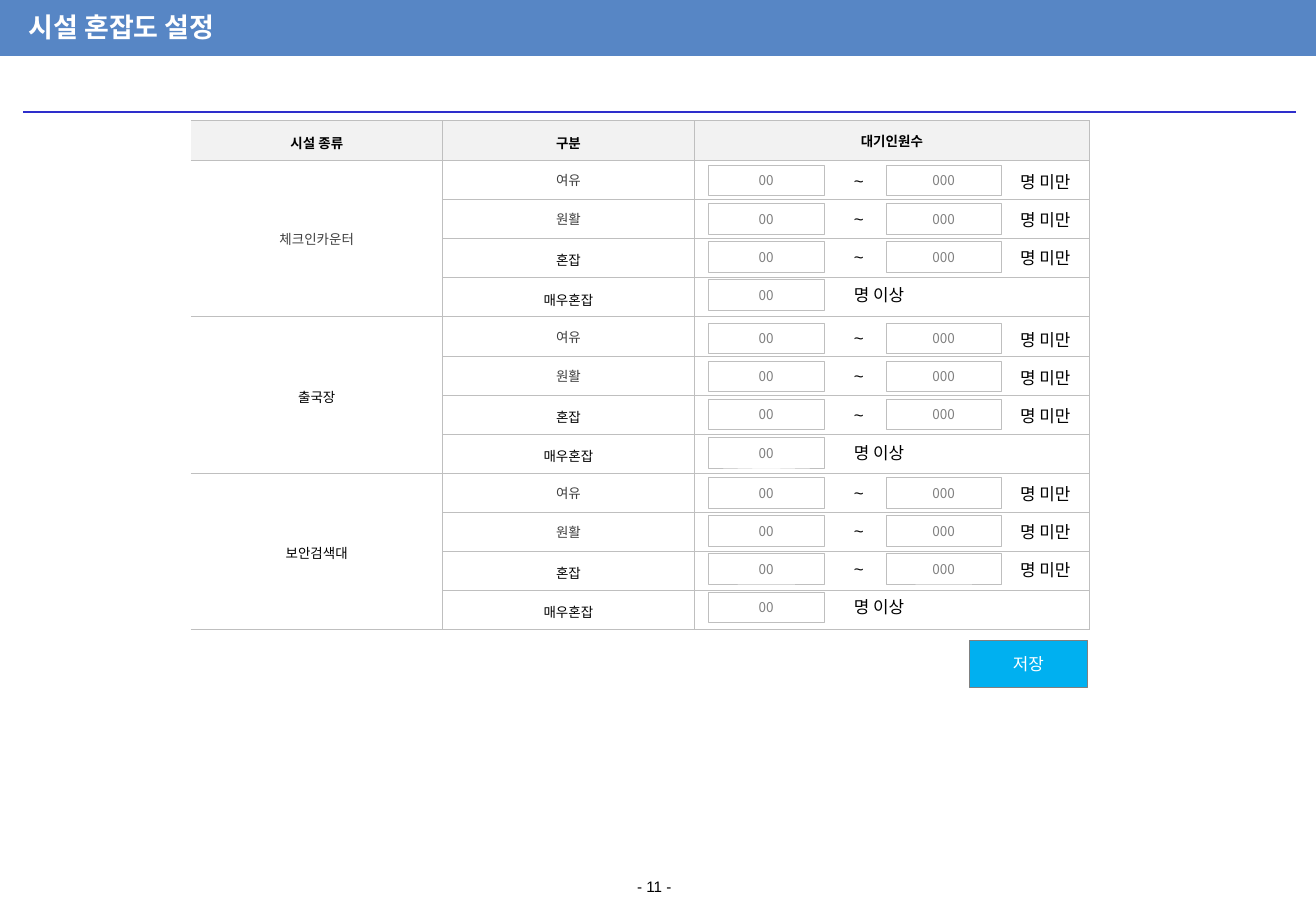
from lxml.etree import SubElement
from pptx import Presentation
from pptx.dml.color import RGBColor
from pptx.enum.shapes import MSO_CONNECTOR, MSO_SHAPE
from pptx.enum.text import MSO_ANCHOR, PP_ALIGN
from pptx.oxml.ns import qn
from pptx.util import Pt

RECTANGLE = MSO_SHAPE.RECTANGLE
STRAIGHT = MSO_CONNECTOR.STRAIGHT
TOP, MIDDLE = MSO_ANCHOR.TOP, MSO_ANCHOR.MIDDLE
LEFT, CENTER = PP_ALIGN.LEFT, PP_ALIGN.CENTER
KOREAN_FONT = "Noto Sans CJK KR"
COLORS = {
    "banner": "5786C5", "rule": "2E2ECB", "border": "BFBFBF", "header": "F2F2F2",
    "white": "FFFFFF", "black": "000000", "dark": "404040", "gray": "808080",
    "save": "00B0F0",
}


def write_text(frame, text, size, color, align=LEFT, anchor=MIDDLE, bold=False, name=KOREAN_FONT):
    frame.vertical_anchor = anchor
    paragraph = frame.paragraphs[0]
    paragraph.alignment = align
    run = paragraph.add_run()
    run.text = text
    formats = {"size": Pt(size), "bold": bold, "name": name}
    for key, value in formats.items():
        setattr(run.font, key, value)
    run.font.color.rgb = RGBColor.from_string(COLORS[color])
    SubElement(run.font._element, qn("a:ea"), typeface=KOREAN_FONT)
    return paragraph


def add_box(left, top, width, height, fill=None, line=None):
    if fill is None:
        shape = slide.shapes.add_textbox(Pt(left), Pt(top), Pt(width), Pt(height))
        shape.text_frame.word_wrap = False
        return shape
    shape = slide.shapes.add_shape(RECTANGLE, Pt(left), Pt(top), Pt(width), Pt(height))
    shape.shadow.inherit = False
    shape.fill.solid()
    shape.fill.fore_color.rgb = RGBColor.from_string(COLORS[fill])
    if line:
        shape.line.color.rgb = RGBColor.from_string(COLORS[line])
        shape.line.width = Pt(0.25)
    else:
        shape.line.fill.background()
    return shape


presentation = Presentation()
presentation.slide_width = Pt(780)
presentation.slide_height = Pt(540)
slide = presentation.slides.add_slide(presentation.slide_layouts[6])

page_number = add_box(296.8, 511, 182, 29)
write_text(page_number.text_frame, "- 11 -", 9, "black", CENTER, name="Arial")
add_box(0, 0, 780, 33.2, "banner")
title = add_box(10, 2.9, 465, 26.7)
title.text_frame.word_wrap = True
write_text(title.text_frame, "시설 혼잡도 설정", 16, "white", anchor=TOP, bold=True)

HEADERS = ["시설 종류", "구분", "대기인원수"]
FACILITIES = ["체크인카운터", "출국장", "보안검색대"]
LEVELS = ["여유", "원활", "혼잡", "매우혼잡"]
ROW_COUNT = 1 + len(FACILITIES) * len(LEVELS)
table = slide.shapes.add_table(
    ROW_COUNT, 3, Pt(113.2), Pt(71.3), Pt(532.6), Pt(301.7)).table
table.first_row = False
table.horz_banding = False
for column, width in zip(table.columns, [149.2, 149.2, 234.2]):
    column.width = Pt(width)
for index, row in enumerate(table.rows):
    row.height = Pt(23.76 if index == 0 else 23.16)

for row in range(ROW_COUNT):
    facility, level = divmod(row - 1, len(LEVELS))
    for column in range(3):
        cell = table.cell(row, column)
        properties = cell._tc.get_or_add_tcPr()
        for side in ["lnL", "lnR", "lnT", "lnB"]:
            border = SubElement(properties, qn(f"a:{side}"), w="3175")
            if side == "lnL" and column == 0:
                SubElement(border, qn("a:noFill"))
            else:
                line_fill = SubElement(border, qn("a:solidFill"))
                SubElement(line_fill, qn("a:srgbClr"), val=COLORS["border"])
        cell.fill.solid()
        cell.fill.fore_color.rgb = RGBColor.from_string(COLORS["white" if row else "header"])
        cell.vertical_anchor = MIDDLE
        if row == 0:
            text = HEADERS[column]
        elif column == 0 and level == 0:
            text = FACILITIES[facility]
        else:
            text = LEVELS[level] if column == 1 else ""
        is_dark = text in LEVELS[:2] + FACILITIES[:1]
        for side in ["left", "right", "top", "bottom"]:
            setattr(cell, f"margin_{side}", Pt(5.6 if is_dark else 2.9))
        if text:
            paragraph = write_text(cell.text_frame, text, 8, "dark" if is_dark else "black",
                                   CENTER, bold=row == 0)
            if not is_dark and column < 2:
                paragraph.line_spacing = 1.2
        else:
            SubElement(cell.text_frame.paragraphs[0]._p, qn("a:endParaRPr"), sz="800")
        cell.vertical_anchor = MIDDLE
for first_row in range(1, ROW_COUNT, len(LEVELS)):
    table.cell(first_row, 0).merge(table.cell(first_row + len(LEVELS) - 1, 0))

save_button = add_box(574.5, 379.4, 70, 28.2, "save", "gray")
write_text(save_button.text_frame, "저장", 10, "white", CENTER)

rule = slide.shapes.add_connector(STRAIGHT, Pt(13.7), Pt(66.4), Pt(768), Pt(66.4))
rule.line.color.rgb = RGBColor.from_string(COLORS["rule"])
rule.line.width = Pt(0.75)
SubElement(rule._element.spPr, qn("a:effectLst"))

for group_top in [98, 191.5, 283]:
    for level in range(len(LEVELS)):
        top = group_top + level * 22.6
        is_last = level == len(LEVELS) - 1
        fields = [(419.8, "00")]
        labels = [(499, -0.8, 45.4, "명 이상")]
        if not is_last:
            fields.append((525, "000"))
            labels = [(499, -0.8, 23, "~"), (597.6, 0, 45.4, "명 미만")]
        for left, text in fields:
            field = add_box(left, top, 68.6, 18, "white", "border")
            write_text(field.text_frame, text, 8, "gray", CENTER)
        for left, offset, width, text in labels:
            label = add_box(left, top + offset, width, 19.4)
            write_text(label.text_frame, text, 10, "black", name="Arial")

presentation.save("out.pptx")
